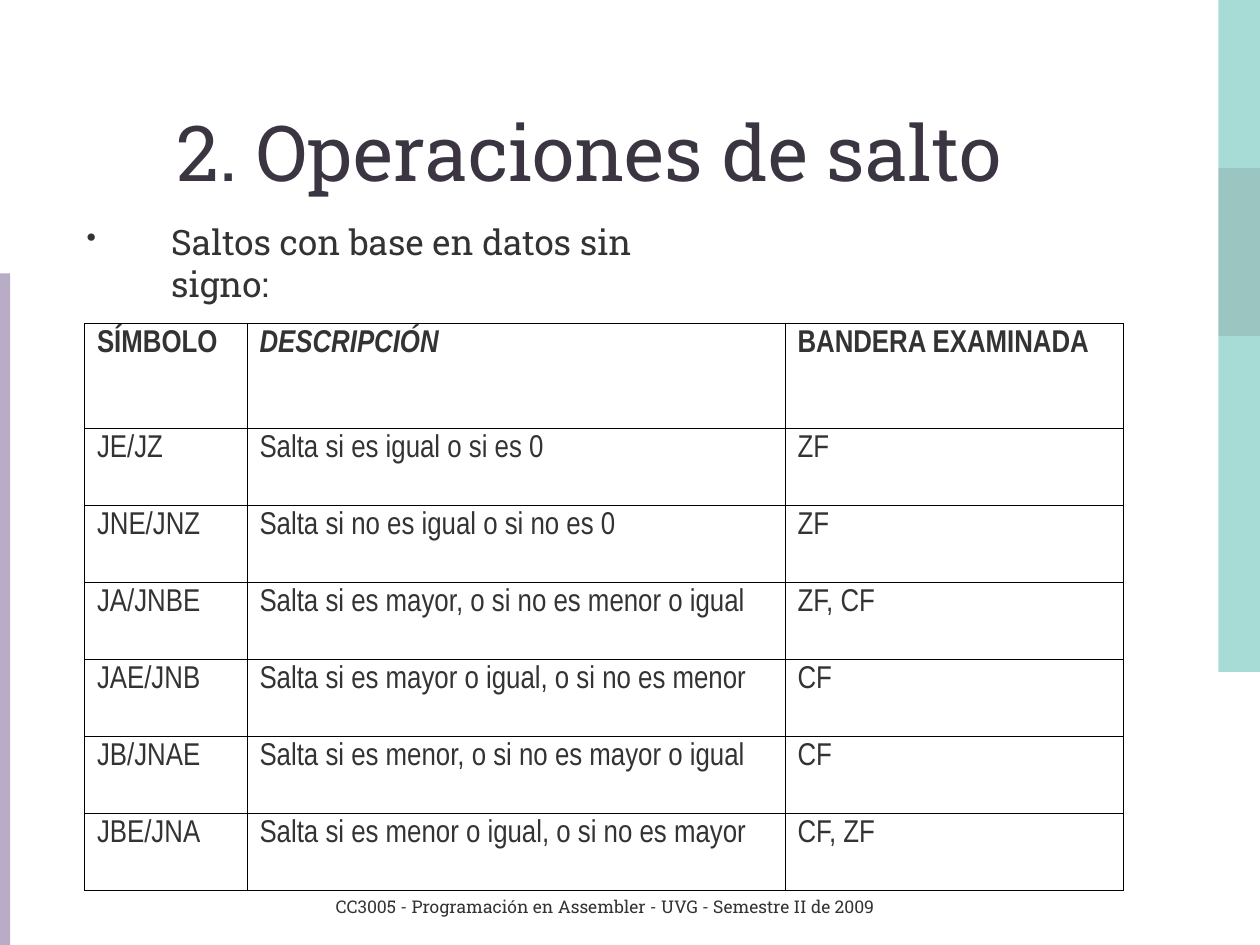
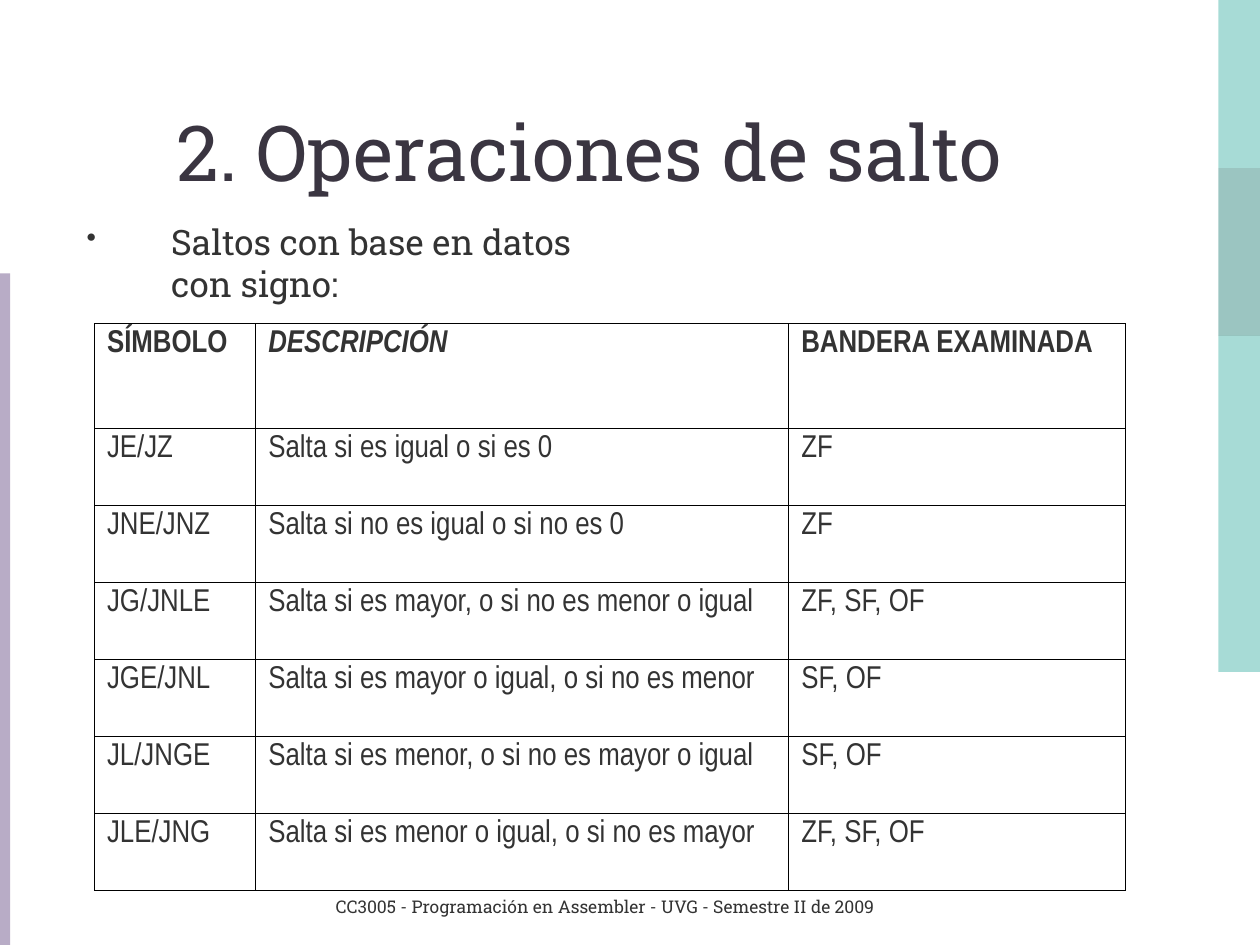
import pptx
import pptx.util
import pptx.dml.color
import pptx.enum.shapes
import pptx.enum.text
import pptx.oxml
import pptx.oxml.ns
import lxml.etree

Inches = pptx.util.Inches
RGBColor = pptx.dml.color.RGBColor
PP_ALIGN = pptx.enum.text.PP_ALIGN
ANCHOR = pptx.enum.text.MSO_ANCHOR
qn = pptx.oxml.ns.qn

TEAL = RGBColor(0x51, 0xB9, 0xAF)
DARK_TEAL = RGBColor(0x39, 0x8D, 0x85)
LILAC = RGBColor(0xB8, 0xAC, 0xC6)
TITLE_INK = RGBColor(0x3A, 0x35, 0x41)
INK = RGBColor(0x33, 0x33, 0x33)
SLAB = "Roboto Slab"
NARROW = "Arial Narrow"

BAND_HEIGHT = 4 / 3
TABLE_TOP, TABLE_HEIGHT, HEADER_HEIGHT = 2.57, 4.5, 0.83
BORDER = (
    '<a:{side} xmlns:a="http://schemas.openxmlformats.org/drawingml/2006/main" w="5715">'
    '<a:solidFill><a:srgbClr val="000000"/></a:solidFill></a:{side}>'
)

HEADERS = ["SÍMBOLO", "DESCRIPCIÓN", "BANDERA EXAMINADA"]
DESCRIPTIONS = [
    "Salta si es igual o si es 0",
    "Salta si no es igual o si no es 0",
    "Salta si es mayor, o si no es menor o igual",
    "Salta si es mayor o igual, o si no es menor",
    "Salta si es menor, o si no es mayor o igual",
    "Salta si es menor o igual, o si no es mayor",
]
JUMP_GROUPS = [
    {
        "subtitle": "Saltos con base en datos sin signo:",
        "left": 0.67,
        "columns": [1.29, 4.27, 2.69],
        "symbols": ["JE/JZ", "JNE/JNZ", "JA/JNBE", "JAE/JNB", "JB/JNAE", "JBE/JNA"],
        "flags": ["ZF", "ZF", "ZF, CF", "CF", "CF", "CF, ZF"],
    },
    {
        "subtitle": "Saltos con base en datos con signo:",
        "left": 0.75,
        "columns": [1.28, 4.23, 2.67],
        "symbols": ["JE/JZ", "JNE/JNZ", "JG/JNLE", "JGE/JNL", "JL/JNGE", "JLE/JNG"],
        "flags": ["ZF", "ZF", "ZF, SF, OF", "SF, OF", "SF, OF", "ZF, SF, OF"],
    },
]


def add_band(slide, left, top, width, height, color, opacity=100):
    band = slide.shapes.add_shape(
        pptx.enum.shapes.MSO_SHAPE.RECTANGLE,
        Inches(left), Inches(top), Inches(width), Inches(height),
    )
    band.shadow.inherit = False
    band.line.fill.background()
    band.fill.solid()
    band.fill.fore_color.rgb = color
    if opacity < 100:
        tint = band.fill._xPr.find(".//" + qn("a:srgbClr"))
        lxml.etree.SubElement(tint, qn("a:alpha"), val=str(opacity * 1000))


def add_text(slide, box, text, size, color, align, anchor):
    frame = slide.shapes.add_textbox(*[Inches(length) for length in box]).text_frame
    frame.word_wrap = True
    frame.vertical_anchor = anchor
    frame.text = text
    paragraph = frame.paragraphs[0]
    paragraph.alignment = align
    font = paragraph.runs[0].font
    font.name, font.size, font.color.rgb = SLAB, pptx.util.Pt(size), color
    return paragraph


prs = pptx.Presentation()
prs.slide_width = Inches(10)
prs.slide_height = Inches(7.5)

for group in JUMP_GROUPS:
    slide = prs.slides.add_slide(prs.slide_layouts[6])

    for position, color in enumerate([TEAL, DARK_TEAL, TEAL, TEAL]):
        add_band(slide, 9.67, position * BAND_HEIGHT, 0.33, BAND_HEIGHT, color, 50)
    add_band(slide, 0, 2.17, 0.08, 5.33, LILAC)

    add_text(slide, (0.43, 0.36, 8.5, 1.25), "2. Operaciones de salto",
             44, TITLE_INK, PP_ALIGN.CENTER, ANCHOR.BOTTOM)

    subtitle = add_text(slide, (0.59, 1.7, 4.57, 0.8), group["subtitle"],
                        20, INK, PP_ALIGN.LEFT, ANCHOR.TOP)
    bullet = subtitle._p.get_or_add_pPr()
    bullet.set("marL", str(Inches(0.67)))
    bullet.set("indent", str(-Inches(0.67)))
    bullet_color = lxml.etree.SubElement(bullet, qn("a:buClr"))
    lxml.etree.SubElement(bullet_color, qn("a:srgbClr"), val=str(INK))
    lxml.etree.SubElement(bullet, qn("a:buSzPct"), val="80000")
    lxml.etree.SubElement(bullet, qn("a:buChar"), char="•")

    rows = [HEADERS, *zip(group["symbols"], DESCRIPTIONS, group["flags"])]
    jumps = slide.shapes.add_table(
        len(rows), len(HEADERS), Inches(group["left"]), Inches(TABLE_TOP),
        Inches(sum(group["columns"])), Inches(TABLE_HEIGHT),
    ).table
    jumps.first_row = False
    jumps.horz_banding = False
    for column, width in zip(jumps.columns, group["columns"]):
        column.width = Inches(width)
    for row in jumps.rows:
        row.height = Inches((TABLE_HEIGHT - HEADER_HEIGHT) / len(DESCRIPTIONS))
    jumps.rows[0].height = Inches(HEADER_HEIGHT)

    for row_index, row in enumerate(rows):
        for column_index, text in enumerate(row):
            cell = jumps.cell(row_index, column_index)
            cell.text_frame.text = text
            font = cell.text_frame.paragraphs[0].runs[0].font
            font.name, font.size, font.color.rgb = NARROW, pptx.util.Pt(18), INK
            font.bold = row_index == 0
            font.italic = text == "DESCRIPCIÓN"
            properties = cell._tc.get_or_add_tcPr()
            for side in ("lnL", "lnR", "lnT", "lnB"):
                properties.append(pptx.oxml.parse_xml(BORDER.format(side=side)))
            cell.fill.background()

    add_text(slide, (1.77, 6.83, 6.06, 0.5),
             "CC3005 - Programación en Assembler - UVG - Semestre II de 2009",
             10, INK, PP_ALIGN.CENTER, ANCHOR.BOTTOM)

prs.save("out.pptx")
